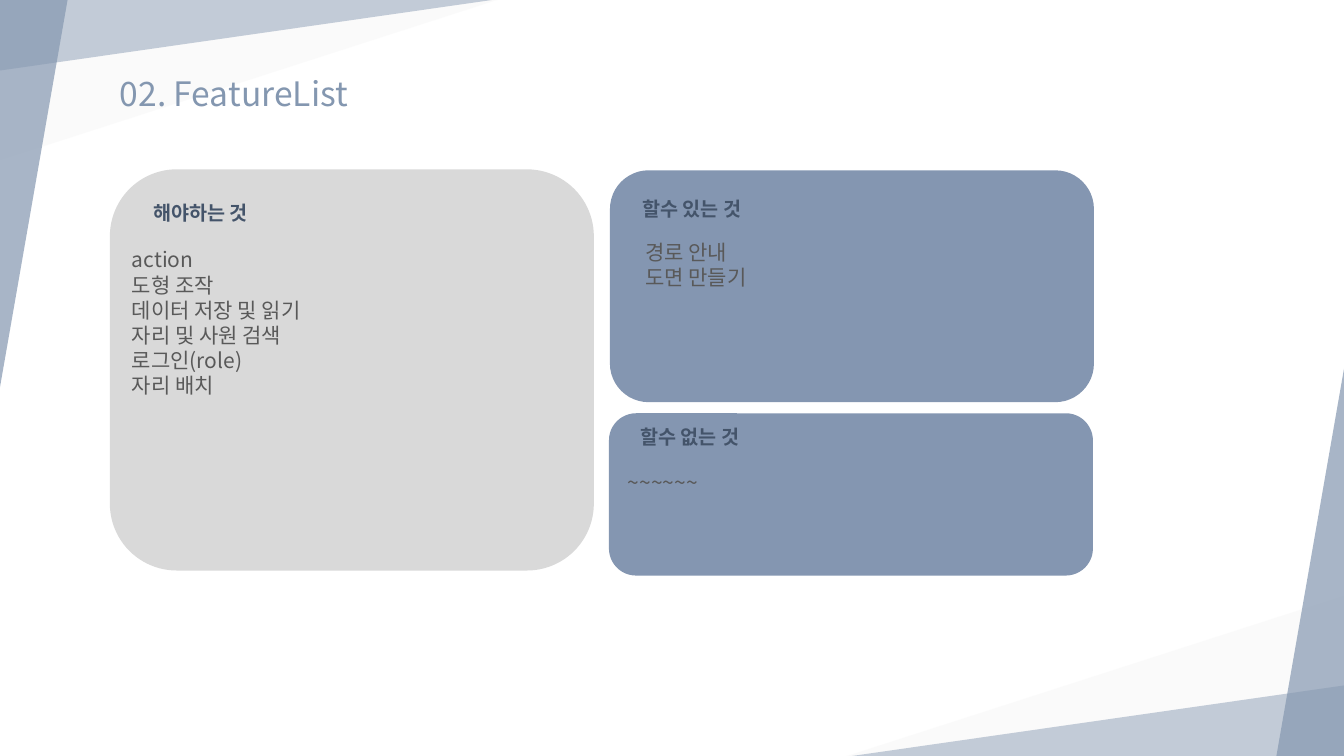
import lxml.etree
import pptx
import pptx.dml.color
import pptx.enum.shapes
import pptx.enum.text
import pptx.oxml.ns
import pptx.util

Inches = pptx.util.Inches
SHAPE = pptx.enum.shapes.MSO_SHAPE
ALIGN = pptx.enum.text.PP_ALIGN
FONT = "Noto Sans CJK KR"
WIDE, HIGH = 13.33, 7.5
qn = pptx.oxml.ns.qn


def paint(shape, color, alpha=100):
    shape.shadow.inherit = False
    shape.line.fill.background()
    shape.fill.solid()
    shape.fill.fore_color.rgb = pptx.dml.color.RGBColor.from_string(color)
    if alpha < 100:
        tint = shape.element.spPr.find(".//" + qn("a:srgbClr"))
        lxml.etree.SubElement(tint, qn("a:alpha"), val=str(alpha * 1000))


def write(shape, lines, size, color, bold=False, align=ALIGN.LEFT):
    """Fill a text shape, one paragraph per line, with Latin and Korean font."""
    frame = shape.text_frame
    frame.text = "\n".join(lines)
    frame.vertical_anchor = pptx.enum.text.MSO_ANCHOR.TOP
    frame.auto_size = pptx.enum.text.MSO_AUTO_SIZE.SHAPE_TO_FIT_TEXT
    for line in frame.paragraphs:
        line.alignment = align
        font = line.font
        font.name = FONT
        font.size = pptx.util.Pt(size)
        font.bold = bold
        font.color.rgb = pptx.dml.color.RGBColor.from_string(color)
    for props in shape.element.iter(qn("a:defRPr")):
        lxml.etree.SubElement(props, qn("a:ea"), typeface=FONT)


deck = pptx.Presentation()
deck.slide_width = Inches(WIDE)
deck.slide_height = Inches(HIGH)
slide = deck.slides.add_slide(deck.slide_layouts[5])
shapes = slide.shapes

# Wedges in the top left corner, turned half round in the bottom right one
wedges = [
    (4.93, 1.59, "F2F2F2", 31),
    (0.67, 3.84, "8497B0", 70),
    (4.88, 0.7, "8497B0", 47),
]
for turn in (90, 270):
    for width, height, color, alpha in wedges:
        mid_x, mid_y = width / 2, height / 2
        if turn == 270:
            mid_x, mid_y = WIDE - mid_x, HIGH - mid_y
        # A quarter turn swaps width and height
        wedge = shapes.add_shape(
            SHAPE.RIGHT_TRIANGLE,
            Inches(mid_x - height / 2), Inches(mid_y - width / 2),
            Inches(height), Inches(width))
        wedge.rotation = turn
        paint(wedge, color, alpha)

# The title sits in front of the wedges
title = shapes.title
title.left, title.top = Inches(-0.24), Inches(0.67)
title.width, title.height = Inches(5.12), Inches(0.5)
write(title, ["02. FeatureList"], 24, "8497B0", align=ALIGN.CENTER)
shapes[-1].element.addnext(title.element)

cards = [
    (1.09, 1.68, 3.98, "D9D9D9"),
    (6.05, 1.69, 2.3, "8496B1"),
    (6.04, 4.1, 1.61, "8496B1"),
]
for left, top, height, color in cards:
    card = shapes.add_shape(
        SHAPE.ROUNDED_RECTANGLE,
        Inches(left), Inches(top), Inches(4.8), Inches(height))
    paint(card, color)

tasks = ["action", "도형 조작", "데이터 저장 및 읽기", "자리 및 사원 검색",
         "로그인(role)", "자리 배치"]
lists = [
    (1.21, 2.4, 4.28, 1.84, tasks),
    (6.13, 4.61, 4.57, 0.35, ["~~~~~~"]),
    (6.3, 2.33, 4.28, 0.6, ["경로 안내", "도면 만들기"]),
]
for left, top, width, height, lines in lists:
    box = shapes.add_textbox(
        Inches(left), Inches(top), Inches(width), Inches(height))
    write(box, lines, 15, "595959")
    box.text_frame.word_wrap = True

heads = [
    (1.42, 1.94, 1.23, "해야하는 것"),
    (6.27, 1.9, 1.29, "할수 있는 것"),
    (6.25, 4.17, 1.29, "할수 없는 것"),
]
for left, top, width, text in heads:
    box = shapes.add_textbox(
        Inches(left), Inches(top), Inches(width), Inches(0.33))
    write(box, [text], 14, "44546A", bold=True)
    box.text_frame.word_wrap = False

deck.save("out.pptx")
